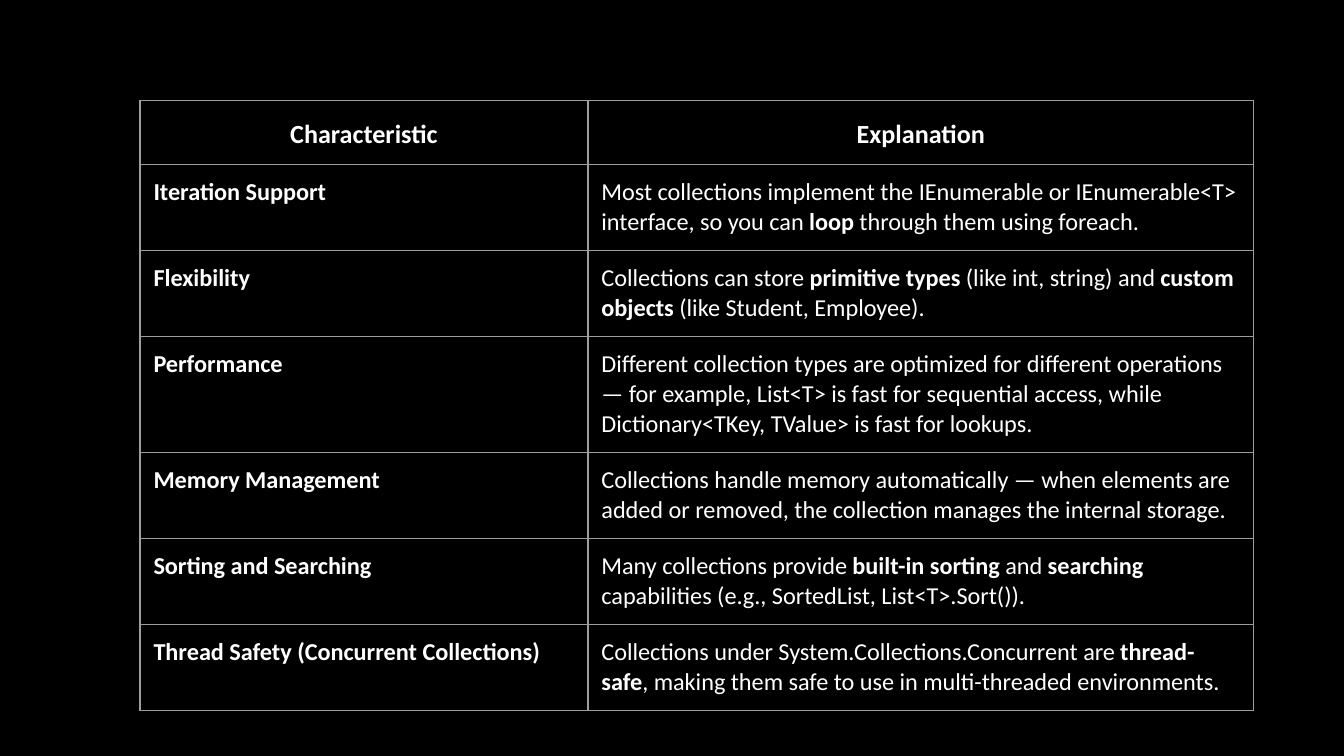
from dataclasses import dataclass

import pptx
import pptx.dml.color
import pptx.enum.text
import pptx.oxml
import pptx.oxml.ns
import pptx.slide
import pptx.table
import pptx.util

COLORS = {"background": "000000", "text": "FFFFFF", "border": "9E9E9E"}
FONT = "Calibri"
WIDTH = pptx.util.Inches(10)
HEIGHT = WIDTH * 9 // 16
# Shares of the slide's width or height, in percent.
LEFT, TOP = 10.42, 13.33
TABLE_HEIGHT = 83.38
COLUMNS = (33.33, 49.54)
ROW_HEIGHT = pptx.util.Inches(0.42)
CELL_MARGIN = pptx.util.Inches(0.1)
BORDER_WIDTH = pptx.util.Pt(0.75)


@dataclass(frozen=True)
class Row:
    """One table row; double asterisks enclose bold words."""
    characteristic: str
    explanation: str
    size: float = 13
    align: pptx.enum.text.PP_ALIGN | None = None
    line_spacing: float | None = None


ROWS = (
    Row("**Characteristic**", "**Explanation**", 14,
        pptx.enum.text.PP_ALIGN.CENTER, 1.15),
    Row("**Iteration Support**",
        "Most collections implement the IEnumerable or IEnumerable<T> interface, "
        "so you can **loop** through them using foreach."),
    Row("**Flexibility**",
        "Collections can store **primitive types** (like int, string) and "
        "**custom objects** (like Student, Employee)."),
    Row("**Performance**",
        "Different collection types are optimized for different operations — "
        "for example, List<T> is fast for sequential access, while "
        "Dictionary<TKey, TValue> is fast for lookups."),
    Row("**Memory Management**",
        "Collections handle memory automatically — when elements are added or "
        "removed, the collection manages the internal storage."),
    Row("**Sorting and Searching**",
        "Many collections provide **built-in sorting** and **searching** "
        "capabilities (e.g., SortedList, List<T>.Sort())."),
    Row("**Thread Safety (Concurrent Collections)**",
        "Collections under System.Collections.Concurrent are **thread-safe**, "
        "making them safe to use in multi-threaded environments."),
)


def rgb(name: str) -> pptx.dml.color.RGBColor:
    return pptx.dml.color.RGBColor.from_string(COLORS[name])


def share(length: int, percent: float) -> int:
    return round(length * percent / 100)


def draw_borders(cell: pptx.table._Cell) -> None:
    properties = cell._tc.get_or_add_tcPr()
    # Border lines must come before the fill in the cell properties.
    for position, side in enumerate(("lnL", "lnR", "lnT", "lnB")):
        properties.insert(position, pptx.oxml.parse_xml(
            f'<a:{side} {pptx.oxml.ns.nsdecls("a")} w="{BORDER_WIDTH}">'
            f'<a:solidFill><a:srgbClr val="{COLORS["border"]}"/></a:solidFill>'
            f'</a:{side}>'))


def fill_cell(cell: pptx.table._Cell, text: str, row: Row) -> None:
    cell.margin_left = cell.margin_right = CELL_MARGIN
    cell.margin_top = cell.margin_bottom = CELL_MARGIN
    cell.fill.background()
    draw_borders(cell)
    para = cell.text_frame.paragraphs[0]
    para.alignment = row.align
    para.line_spacing = row.line_spacing
    for index, words in enumerate(text.split("**")):
        if words:
            span = para.add_run()
            span.text = words
            span.font.name = FONT
            span.font.size = pptx.util.Pt(row.size)
            span.font.bold = index % 2 == 1
            span.font.color.rgb = rgb("text")


def draw_table(page: pptx.slide.Slide) -> None:
    height = share(HEIGHT, TABLE_HEIGHT)
    frame = page.shapes.add_table(
        len(ROWS), len(COLUMNS), share(WIDTH, LEFT), share(HEIGHT, TOP),
        share(WIDTH, sum(COLUMNS)), height)
    table = frame.table
    table.first_row = table.horz_banding = False
    for column, percent in zip(table.columns, COLUMNS):
        column.width = share(WIDTH, percent)
    for index, row in enumerate(ROWS):
        table.rows[index].height = ROW_HEIGHT
        fill_cell(table.cell(index, 0), row.characteristic, row)
        fill_cell(table.cell(index, 1), row.explanation, row)
    frame.height = height


def main() -> None:
    deck = pptx.Presentation()
    deck.slide_width, deck.slide_height = WIDTH, HEIGHT
    page = deck.slides.add_slide(deck.slide_layouts[6])
    page.background.fill.solid()
    page.background.fill.fore_color.rgb = rgb("background")
    draw_table(page)
    deck.save("out.pptx")


if __name__ == "__main__":
    main()
